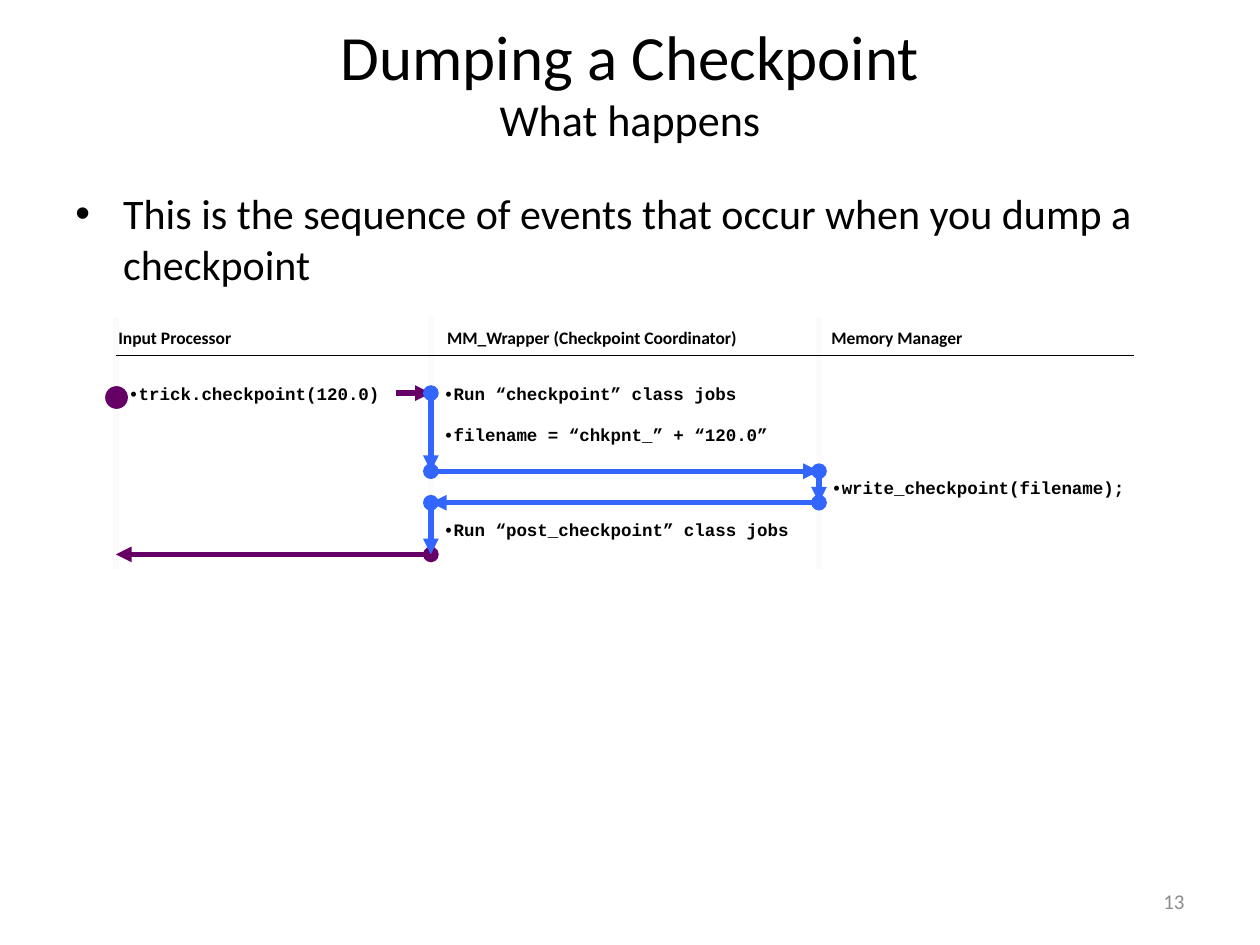
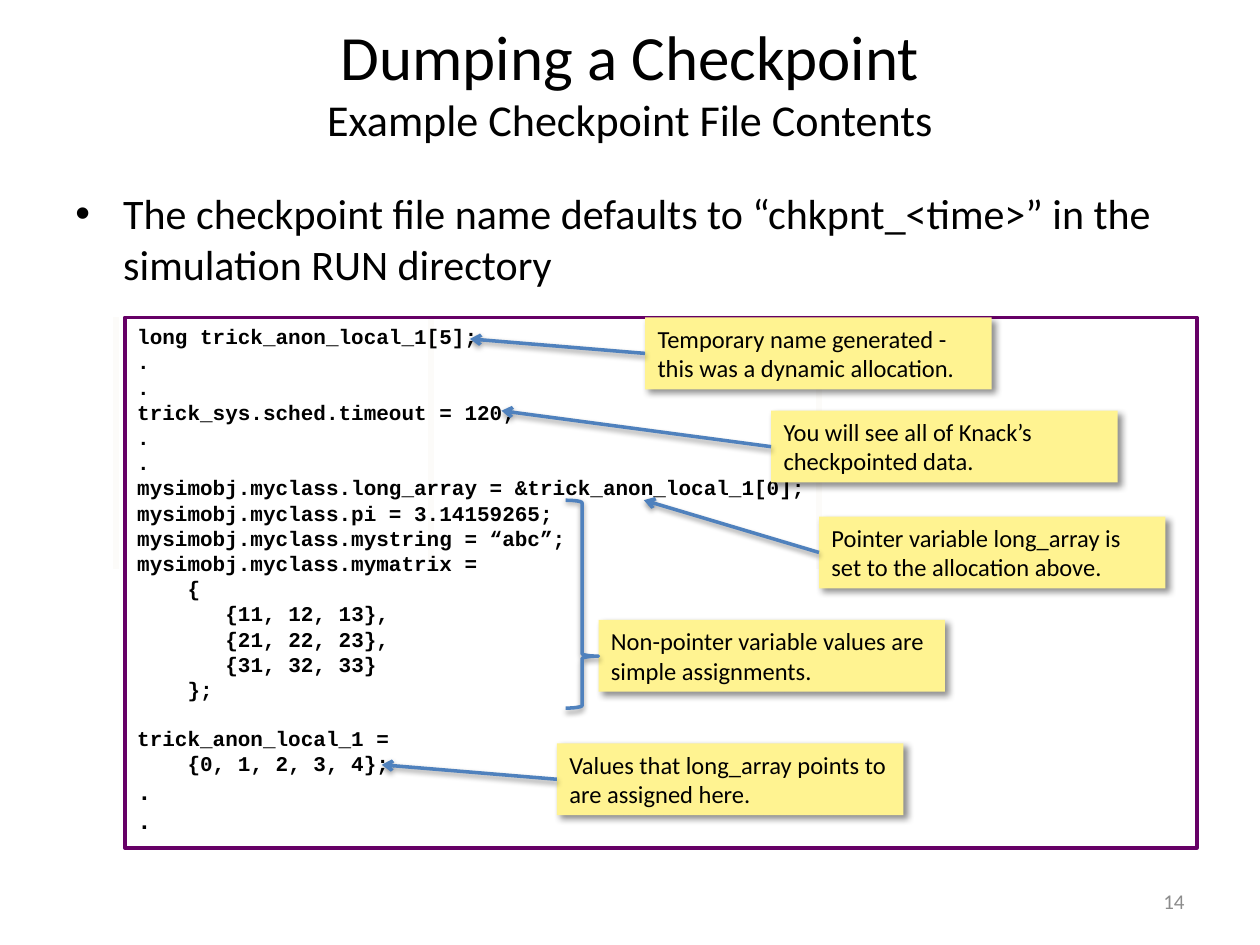
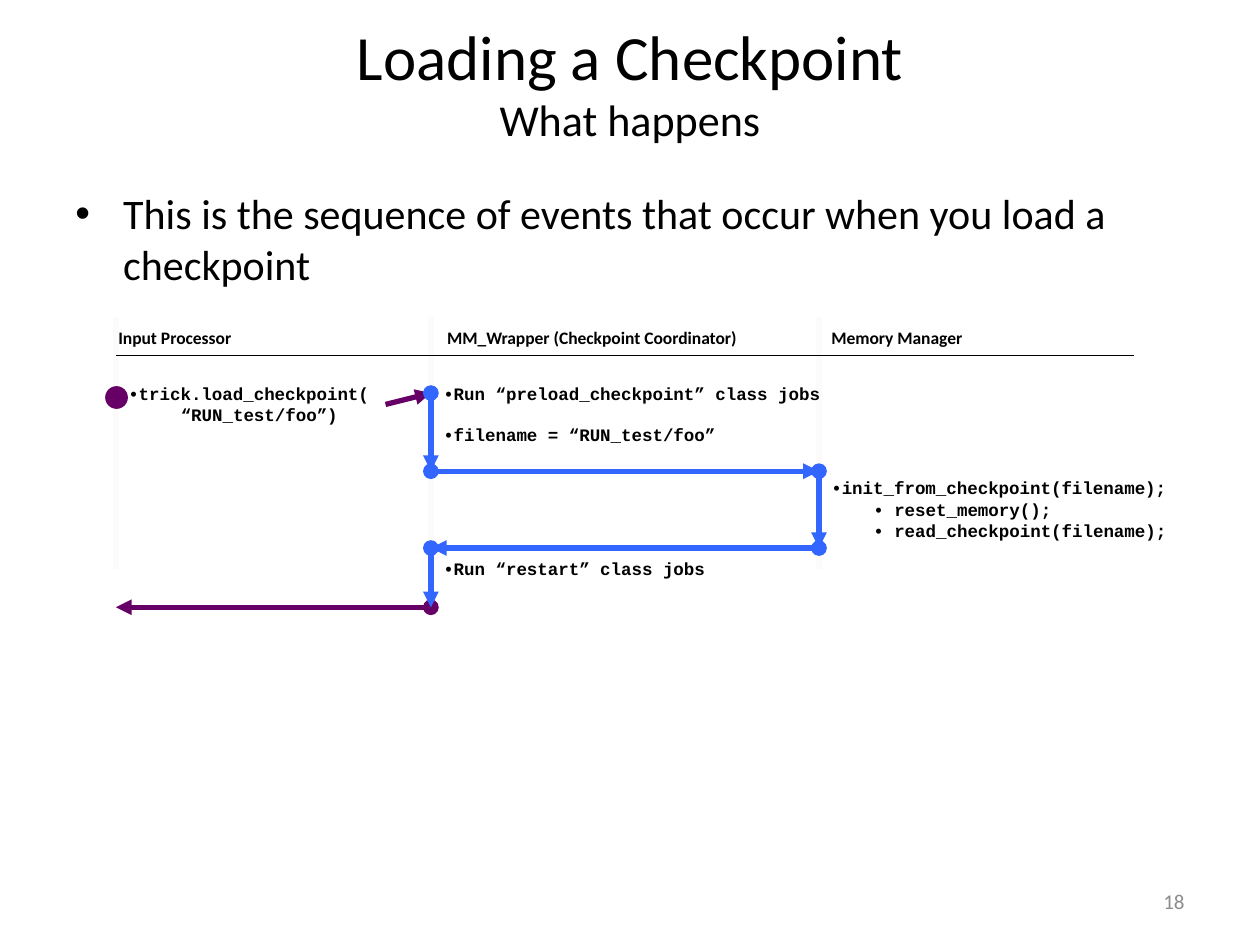
from lxml import etree
from pptx import Presentation
from pptx.dml.color import RGBColor
from pptx.enum.shapes import MSO_CONNECTOR, MSO_SHAPE
from pptx.enum.text import MSO_ANCHOR, PP_ALIGN
from pptx.oxml.ns import qn
from pptx.util import Inches, Pt

LEFT, CENTER, RIGHT = PP_ALIGN.LEFT, PP_ALIGN.CENTER, PP_ALIGN.RIGHT
TOP, MIDDLE = MSO_ANCHOR.TOP, MSO_ANCHOR.MIDDLE
RECT, OVAL, BRACE = MSO_SHAPE.RECTANGLE, MSO_SHAPE.OVAL, MSO_SHAPE.RIGHT_BRACE
STRAIGHT = MSO_CONNECTOR.STRAIGHT

C = {"ink": "000000", "number": "8C8C8C", "lane": "FCFBF9", "user": "660066",
     "flow": "3366FF", "note": "FFF391", "pointer": "4F81BD"}
SANS, MONO = "Calibri", "Courier New"
W, H = 10, 7.5
MARGIN = W * 0.05
INNER = W - 2 * MARGIN
LANES = (0.92, 3.42, 6.5)
LANE_TOP, LANE_END = 2.52, 4.52
ROW = 0.27
NOTE_W, NOTE_H = 2.75, 0.57
# Shadows: opacity %, blur pt, distance pt, angle
NOTE_SHADOW, POINTER_SHADOW = (43, 4, 3, 45), (38, 3.1, 1.6, 90)

HEADS = [("Input Processor", 0.84, 2.45), ("Memory Manager", 6.5, 2.67),
         ("MM_Wrapper (Checkpoint Coordinator)", 3.45, 2.61)]

# Steps are (lane, top, width, lines); a line may be (indent in characters, text).
DUMP = {
    "title": "Dumping a Checkpoint", "subtitle": "What happens", "number": 13,
    "bullet": "This is the sequence of events that occur when you dump a checkpoint",
    "steps": [
        (1, 2.99, 2.83, ["•Run “checkpoint” class jobs"]),
        (1, 4.07, 2.98, ["•Run “post_checkpoint” class jobs"]),
        (2, 3.74, 2.64, ["•write_checkpoint(filename);"]),
        (0, 2.99, 2.22, ["•trick.checkpoint(120.0)"]),
        (1, 3.32, 3.08, ["•filename = “chkpnt_” + “120.0”"])],
    "start": (3.14, 3.12), "back": 3.99, "end": 4.4}

LOAD = {
    "title": "Loading a Checkpoint", "subtitle": "What happens", "number": 18,
    "bullet": "This is the sequence of events that occur when you load a checkpoint",
    "steps": [
        (1, 2.99, 3.22, ["•Run “preload_checkpoint” class jobs"]),
        (1, 4.38, 2.31, ["•Run “restart” class jobs"]),
        (2, 3.74, 2.9, ["•init_from_checkpoint(filename);",
                        (4, "• reset_memory();"),
                        (4, "• read_checkpoint(filename);")]),
        (0, 2.99, 2.14, ["•trick.load_checkpoint(", (5, "“RUN_test/foo”)")]),
        (1, 3.32, 3.08, ["•filename = “RUN_test/foo”"])],
    "start": (3.06, 3.21), "back": 4.35, "end": 4.82}

EXAMPLE = {
    "title": "Dumping a Checkpoint", "subtitle": "Example Checkpoint File Contents",
    "number": 14,
    "bullet": "The checkpoint file name defaults to “chkpnt_<time>” in the "
              "simulation RUN directory"}
CODE = ["long trick_anon_local_1[5];", ".", ".", "trick_sys.sched.timeout = 120;",
        ".", ".", "mysimobj.myclass.long_array = &trick_anon_local_1[0];",
        "mysimobj.myclass.pi = 3.14159265;", "mysimobj.myclass.mystring = “abc”;",
        "mysimobj.myclass.mymatrix =", (4, "{"), (7, "{11, 12, 13},"),
        (7, "{21, 22, 23},"), (7, "{31, 32, 33}"), (4, "};")]
CODE_AFTER_GAP = ["trick_anon_local_1 =", (4, "{0, 1, 2, 3, 4};")]
CODE_DOTS = [".", "."]
# Notes are (left, top, lines, arrow tip)
NOTES = [
    (5.12, 2.52, ["Temporary name generated -", "this was a dynamic allocation."],
     (3.73, 2.69)),
    (6.12, 3.26, ["You will see all of Knack’s checkpointed data."], (3.98, 3.26)),
    (6.5, 4.1, ["Pointer variable long_array is set to the allocation above."],
     (5.11, 3.97)),
    (4.42, 5.9, ["Values that long_array points to are assigned here."], (3.03, 6.07)),
    (4.75, 4.92, ["Non-pointer variable values are simple assignments."], None)]


def rgb(name):
    """Return the named colour."""
    return RGBColor.from_string(C[name])


def add_run(p, text, size, font=SANS, color="ink", bold=False):
    """Add one formatted run to a paragraph."""
    r = p.add_run()
    r.text = text
    f = r.font
    f.size, f.name, f.bold = Pt(size), font, bold
    f.color.rgb = rgb(color)


def write(tf, lines, size, align=LEFT, anchor=TOP, before=0, **fmt):
    """Append lines to a text frame; `before` is the gap above the first one."""
    tf.word_wrap, tf.vertical_anchor = True, anchor
    for i, line in enumerate(lines):
        chars, text = line if isinstance(line, tuple) else (0, line)
        p = tf.paragraphs[0]
        if p.runs:
            p = tf.add_paragraph()
        p.alignment = align
        p.space_before = Pt(before if i == 0 else 0)
        if chars:
            p._p.get_or_add_pPr().set("marL", str(Pt(chars * size * 0.6)))
        add_run(p, text, size, **fmt)
    return p


def add_text(s, box, lines, **fmt):
    """Add a text box and return its last paragraph."""
    tf = s.shapes.add_textbox(*map(Inches, box)).text_frame
    return write(tf, lines, **fmt)


def set_effects(shape, shadow=None):
    """Replace the theme shadow by the given one, or by none."""
    effects = etree.SubElement(shape.element.spPr, qn("a:effectLst"))
    if shadow:
        opacity, blur, dist, angle = shadow
        outer = etree.SubElement(effects, qn("a:outerShdw"), blurRad=str(Pt(blur)),
                                 dist=str(Pt(dist)), dir=str(angle * 60000),
                                 algn="tl", rotWithShape="0")
        color = etree.SubElement(outer, qn("a:srgbClr"), val=C["ink"])
        etree.SubElement(color, qn("a:alpha"), val=str(opacity * 1000))


def add_shape(s, kind, box, fill=None, line=None, width=0.75, shadow=None):
    """Add a preset shape."""
    sp = s.shapes.add_shape(kind, *map(Inches, box))
    if fill:
        sp.fill.solid()
        sp.fill.fore_color.rgb = rgb(fill)
    else:
        sp.fill.background()
    if line:
        sp.line.color.rgb, sp.line.width = rgb(line), Pt(width)
    else:
        sp.line.fill.background()
    set_effects(sp, shadow)
    return sp


def add_line(s, start, end, color, width=3, head=None, tail=None, shadow=None):
    """Add a straight line with optional ends."""
    cn = s.shapes.add_connector(STRAIGHT, *map(Inches, start + end))
    cn.line.color.rgb, cn.line.width = rgb(color), Pt(width)
    ln = cn.line._get_or_add_ln()
    for tag, kind in (("a:headEnd", head), ("a:tailEnd", tail)):
        if kind:
            etree.SubElement(ln, qn(tag), type=kind)
    set_effects(cn, shadow)


def add_base(prs, data):
    """Add a slide with title, bullet, number and lanes."""
    s = prs.slides.add_slide(prs.slide_layouts[6])
    p = add_text(s, (MARGIN, 0.17, INNER, 0.95), [data["title"]], size=36,
                 align=CENTER, anchor=MIDDLE)
    p.add_line_break()
    add_run(p, data["subtitle"], 25.2)
    p = add_text(s, (MARGIN, 1.44, INNER, 5.26), [data["bullet"]], size=24, before=4.8)
    pPr = p._p.get_or_add_pPr()
    pPr.set("marL", str(Inches(0.38)))
    pPr.set("indent", str(Inches(-0.38)))
    etree.SubElement(pPr, qn("a:buFont"), typeface="Arial")
    etree.SubElement(pPr, qn("a:buChar"), char="•")
    add_text(s, (W - MARGIN - 2.33, 6.95, 2.33, 0.4), [str(data["number"])], size=12,
             color="number", align=RIGHT, anchor=MIDDLE)
    for x in reversed(LANES):
        add_line(s, (x, LANE_TOP), (x, LANE_END), "lane")
    return s


def add_sequence(prs, data):
    """Add a slide with a sequence of events across the lanes."""
    s = add_base(prs, data)
    for lane, top, width, lines in data["steps"]:
        add_text(s, (LANES[lane], top, width, ROW * len(lines)), lines, size=10,
                 font=MONO, bold=True)
    user, wrapper, manager = LANES
    first, call, back, end = 3.12, 3.74, data["back"], data["end"]
    add_line(s, data["start"], (wrapper, first), "user", tail="triangle")
    for a, b, color in [((manager, back), (wrapper, back), "flow"),
                        ((wrapper, first), (wrapper, call), "flow"),
                        ((wrapper, call), (manager, call), "flow"),
                        ((manager, call), (manager, back), "flow"),
                        ((wrapper, end), (user, end), "user"),
                        ((wrapper, back), (wrapper, end), "flow")]:
        add_line(s, a, b, color, head="oval", tail="triangle")
    add_shape(s, OVAL, (0.84, 3.07, 0.17, 0.17), fill="user", line="user")
    for head, x, width in HEADS:
        add_text(s, (x, 2.55, width, ROW), [head], size=10, bold=True)
    add_line(s, (user, 2.82), (W * 0.9, 2.82), "ink", width=0.75)


def add_example(prs, data):
    """Add the slide with annotated file contents."""
    s = add_base(prs, data)
    sp = add_shape(s, RECT, (0.99, LANE_TOP, 8.51, 4.21), line="user", width=2)
    for lines, size, before in ((CODE, 12, 0), (CODE_AFTER_GAP, 12, 13.6),
                                (CODE_DOTS, 14, 0)):
        write(sp.text_frame, lines, size, before=before, font=MONO, bold=True)
    for x, y, lines, tip in NOTES:
        note = add_shape(s, RECT, (x, y, NOTE_W, NOTE_H), fill="note",
                         shadow=NOTE_SHADOW)
        write(note.text_frame, lines, 14)
        if tip:
            add_line(s, (x, y + NOTE_H / 2), tip, "pointer", width=2, tail="arrow",
                     shadow=POINTER_SHADOW)
    brace = add_shape(s, BRACE, (4.49, 3.97, 0.26, 1.65), line="pointer", width=2,
                      shadow=POINTER_SHADOW)
    brace.adjustments[0], brace.adjustments[1] = 0.08, 0.75


prs = Presentation()
prs.slide_width, prs.slide_height = Inches(W), Inches(H)
add_sequence(prs, DUMP)
add_example(prs, EXAMPLE)
add_sequence(prs, LOAD)
prs.save("out.pptx")
